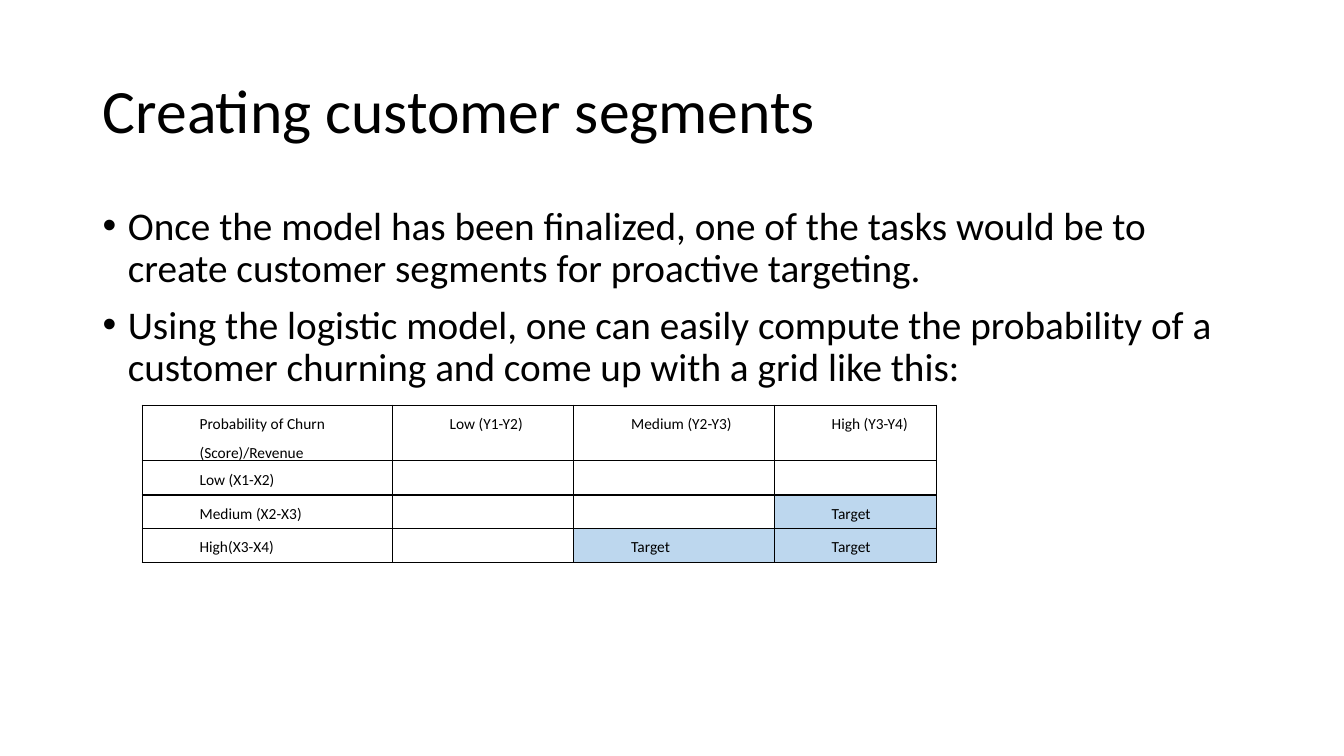
from dataclasses import dataclass

from lxml.etree import SubElement
from pptx import Presentation
from pptx.dml.color import RGBColor
from pptx.enum.text import MSO_ANCHOR, MSO_AUTO_SIZE, PP_ALIGN
from pptx.oxml.ns import qn
from pptx.util import Inches, Pt


@dataclass(frozen=True)
class Theme:
    font: str = "Calibri"
    ink: RGBColor = RGBColor(0, 0, 0)
    target: RGBColor = RGBColor(0xBD, 0xD7, 0xEE)
    title_size: int = 44
    body_size: int = 28
    table_size: int = 11


theme = Theme()


def format_paragraph(paragraph, size, line_spacing, margin=0, indent=0):
    paragraph.alignment = PP_ALIGN.LEFT
    paragraph.line_spacing = line_spacing
    properties = paragraph._p.get_or_add_pPr()
    properties.set("marL", str(Inches(margin)))
    properties.set("indent", str(Inches(indent)))
    for run in paragraph.runs:
        run.font.name = theme.font
        run.font.size = Pt(size)
        run.font.color.rgb = theme.ink


def draw_borders(cell):
    properties = cell._tc.get_or_add_tcPr()
    for side in ("a:lnL", "a:lnR", "a:lnT", "a:lnB"):
        line = SubElement(properties, qn(side), w=str(Pt(1)))
        fill = SubElement(line, qn("a:solidFill"))
        SubElement(fill, qn("a:srgbClr"), val=str(theme.ink))


presentation = Presentation()
presentation.slide_width = Inches(13.33)
presentation.slide_height = Inches(7.5)
slide = presentation.slides.add_slide(presentation.slide_layouts[5])

margin = Inches(0.92)
content_width = presentation.slide_width - 2 * margin

title = slide.shapes.title
title.left, title.top = margin, Inches(0.4)
title.width, title.height = content_width, Inches(1.45)
title.text_frame.text = "Creating customer segments"
title.text_frame.auto_size = MSO_AUTO_SIZE.NONE
title.text_frame.vertical_anchor = MSO_ANCHOR.MIDDLE
format_paragraph(title.text_frame.paragraphs[0], theme.title_size, 0.9)

points = [
    "Once the model has been finalized, one of the tasks would be to create "
    "customer segments for proactive targeting.",
    "Using the logistic model, one can easily compute the probability of a "
    "customer churning and come up with a grid like this:",
]
body = slide.shapes.add_textbox(margin, Inches(2), content_width, Inches(4.76))
body.text_frame.word_wrap = True
body.text_frame.text = "\n".join(points)
for paragraph in body.text_frame.paragraphs:
    paragraph.space_before = Pt(10)
    format_paragraph(paragraph, theme.body_size, 0.9, 0.25, -0.25)
    properties = paragraph._p.get_or_add_pPr()
    SubElement(properties, qn("a:buFont"), typeface="Arial")
    SubElement(properties, qn("a:buChar"), char="•")

segments = [
    ["Probability of Churn (Score)/Revenue", "Low (Y1-Y2)", "Medium (Y2-Y3)", "High (Y3-Y4)"],
    ["Low (X1-X2)", "", "", ""],
    ["Medium (X2-X3)", "", "", "Target"],
    ["High(X3-X4)", "", "Target", "Target"],
]
column_widths = [2.48, 1.8, 1.99, 1.61]
row_heights = [0.52, 0.34, 0.33, 0.34]
table = slide.shapes.add_table(
    len(row_heights), len(column_widths), Inches(1.41), Inches(4.02),
    Inches(sum(column_widths)), Inches(sum(row_heights)),
).table
table.first_row = False
table.horz_banding = False
for column, width in zip(table.columns, column_widths):
    column.width = Inches(width)
for row, height, labels in zip(table.rows, row_heights, segments):
    row.height = Inches(height)
    for cell, label in zip(row.cells, labels):
        cell.margin_left = cell.margin_right = Inches(0.07)
        cell.margin_top = cell.margin_bottom = 0
        draw_borders(cell)
        if label == "Target":
            cell.fill.solid()
            cell.fill.fore_color.rgb = theme.target
        else:
            cell.fill.background()
        if label:
            cell.text_frame.text = label
            format_paragraph(cell.text_frame.paragraphs[0], theme.table_size, 1.5, 0.5)

presentation.save("out.pptx")
